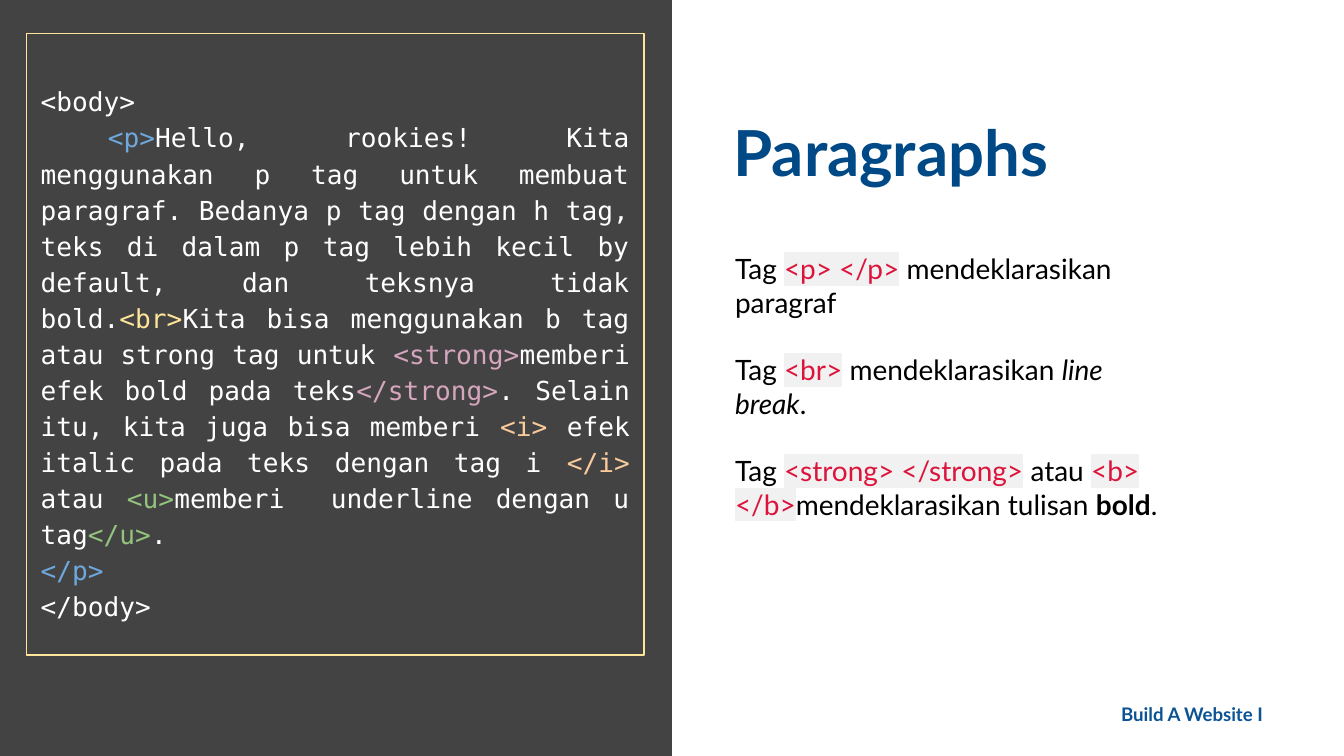
from dataclasses import dataclass

from lxml import etree
from pptx import Presentation
from pptx import util as u
from pptx.dml.color import RGBColor
from pptx.enum import shapes, text
from pptx.oxml.ns import qn

PX = 9525  # EMU per px, 96 px to the inch
INSET = 10
SANS, MONO = "Lato", "DejaVu Sans Mono"
WHITE, BLACK, CRIMSON, PALE_GREY = "FFFFFF", "000000", "DC143C", "F1F1F1"
BLUE, YELLOW, PINK, ORANGE, GREEN = "6FA8DC", "FFE599", "D5A6BD", "F9CB9C", "93C47D"


@dataclass(frozen=True)
class Box:
    left: int
    top: int
    width: int
    height: int

    def emu(self) -> tuple[int, ...]:
        return tuple(v * PX for v in (self.left, self.top, self.width, self.height))


@dataclass(frozen=True)
class Span:
    words: str
    color: str = BLACK
    highlight: str = ""
    bold: bool = False
    italic: bool = False


@dataclass(frozen=True)
class Style:
    font: str
    size: int
    align: text.PP_ALIGN = text.PP_ALIGN.LEFT
    line_spacing: float = 1.0
    gap: int = 0


def tag(words: str) -> Span:
    return Span(words, CRIMSON, PALE_GREY)


def code(words: str, color: str = WHITE) -> Span:
    return Span(words, color)


TITLE = [[Span("Paragraphs", "004987", bold=True)]]
FOOTER = [[Span("Build A Website I", "0B5394", bold=True)]]
NOTES = [
    [Span("Tag "), tag("<p> </p>"), Span(" mendeklarasikan paragraf")],
    [Span("Tag "), tag("<br>"), Span(" mendeklarasikan "),
     Span("line break", italic=True), Span(".")],
    [Span("Tag "), tag("<strong> </strong>"), Span(" atau "), tag("<b> </b>"),
     Span("mendeklarasikan tulisan "), Span("bold", bold=True), Span(".")],
]
CODE = [
    [code("<body>")],
    [
        code("\t"), code("<p>", BLUE),
        code("Hello, rookies! Kita menggunakan p tag untuk membuat paragraf. "
             "Bedanya p tag dengan h tag, teks di dalam p tag lebih kecil by default, "
             "dan teksnya tidak bold."),
        code("<br>", YELLOW),
        code("Kita bisa menggunakan b tag atau strong tag untuk "),
        code("<strong>", PINK), code("memberi efek bold pada teks"),
        code("</strong>", PINK), code(". Selain itu, kita juga bisa memberi "),
        code("<i>", ORANGE), code(" efek italic pada teks dengan tag i "),
        code("</i>", ORANGE), code(" atau "),
        code("<u>", GREEN), code("memberi  underline dengan u tag"),
        code("</u>", GREEN), code("."),
    ],
    [code("</p>", BLUE)],
    [code("</body>")],
]


def rgb(value: str) -> RGBColor:
    return RGBColor.from_string(value)


def add_span(para, span: Span) -> None:
    run = para.add_run()
    run.text = span.words
    run.font.color.rgb = rgb(span.color)
    if span.bold:
        run.font.bold = True
    if span.italic:
        run.font.italic = True
    if span.highlight:
        mark = etree.SubElement(run.font._element, qn("a:highlight"))
        etree.SubElement(mark, qn("a:srgbClr"), val=span.highlight)


def write(shape, paragraphs: list[list[Span]], style: Style,
          anchor=text.MSO_ANCHOR.TOP, top_inset: int = INSET) -> None:
    frame = shape.text_frame
    frame.word_wrap = True
    frame.auto_size = text.MSO_AUTO_SIZE.NONE
    frame.vertical_anchor = anchor
    frame.margin_left = frame.margin_right = frame.margin_bottom = INSET * PX
    frame.margin_top = top_inset * PX
    for index, spans in enumerate(paragraphs):
        para = frame.add_paragraph() if index else frame.paragraphs[0]
        para.alignment = style.align
        para.line_spacing = style.line_spacing
        para.space_before = u.Pt(style.gap if index else 0)
        para.font.name = style.font
        para.font.size = u.Pt(style.size)
        for span in spans:
            add_span(para, span)


def add_rectangle(slide, box: Box, fill: str = "", line: str = ""):
    shape = slide.shapes.add_shape(shapes.MSO_SHAPE.RECTANGLE, *box.emu())
    shape.shadow.inherit = False
    if fill:
        shape.fill.solid()
        shape.fill.fore_color.rgb = rgb(fill)
    else:
        shape.fill.background()
    if line:
        shape.line.color.rgb = rgb(line)
        shape.line.width = u.Pt(0.75)
    else:
        shape.line.fill.background()
    return shape


def main() -> None:
    deck = Presentation()
    deck.slide_width, deck.slide_height = 960 * PX, 540 * PX
    slide = deck.slides.add_slide(deck.slide_layouts[5])

    title = slide.shapes.title
    title.left, title.top, title.width, title.height = Box(514, 88, 430, 40).emu()
    write(title, TITLE, Style(SANS, 34), text.MSO_ANCHOR.MIDDLE)

    notes = slide.shapes.add_textbox(*Box(515, 170, 324, 322).emu())
    write(notes, NOTES, Style(SANS, 15, gap=18))

    add_rectangle(slide, Box(0, 0, 480, 540), fill="434343")
    listing = add_rectangle(slide, Box(19, 24, 441, 444), line=YELLOW)
    write(listing, CODE, Style(MONO, 14, line_spacing=1.15), top_inset=34)
    listing.text_frame.paragraphs[1].alignment = text.PP_ALIGN.JUSTIFY

    footer = slide.shapes.add_textbox(*Box(696, 492, 216, 36).emu())
    write(footer, FOOTER, Style(SANS, 10, text.PP_ALIGN.RIGHT))

    deck.save("out.pptx")


if __name__ == "__main__":
    main()
